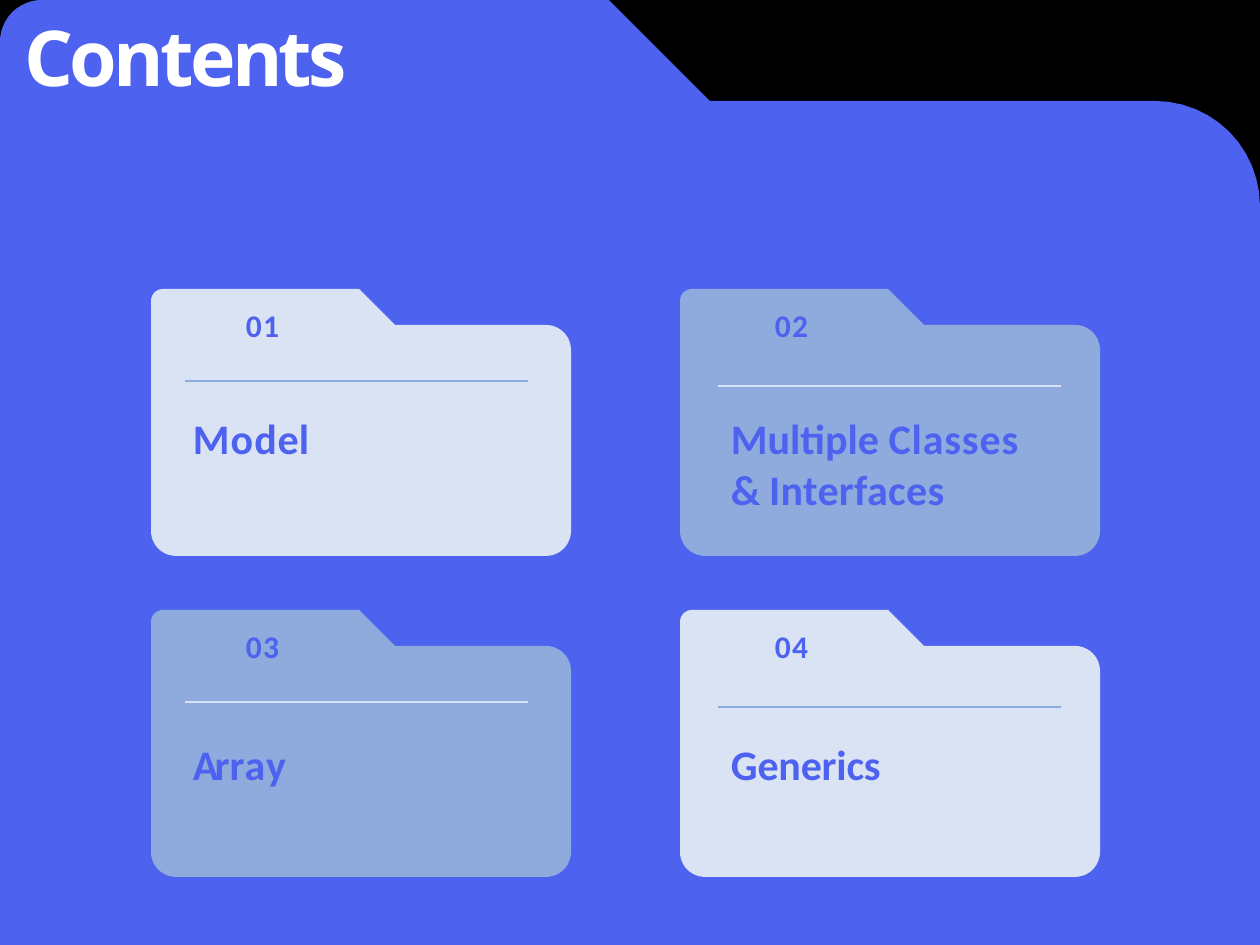
from math import cos, radians, sin

from lxml import etree
from pptx import Presentation
from pptx.dml.color import RGBColor
from pptx.enum.shapes import MSO_CONNECTOR
from pptx.oxml.ns import qn
from pptx.util import Pt

PX = 914400 / 126
STRAIGHT = MSO_CONNECTOR.STRAIGHT
COLORS = {"black": "000000", "blue": "4D63F0", "pale": "DAE3F3",
          "mid": "8FAADC", "white": "FFFFFF"}


def emu(px):
    return round(px * PX)


def rgb(name):
    return RGBColor.from_string(COLORS[name])


def arc(cx, cy, r, start):
    """Points of a clockwise quarter circle that starts at the given angle."""
    angles = [radians(start + 7.5 * i) for i in range(13)]
    return [(cx + r * cos(a), cy + r * sin(a)) for a in angles]


def add_outline(s, points, color):
    points = [(emu(x), emu(y)) for x, y in points]
    builder = s.shapes.build_freeform(*points[0], scale=1.0)
    builder.add_line_segments(points[1:], close=True)
    sp = builder.convert_to_shape()
    sp.shadow.inherit = False
    sp.fill.solid()
    sp.fill.fore_color.rgb = rgb(color)
    sp.line.fill.background()


def add_folder(s, x, y, w, h, tab_w, tab_h, r_tab, r_body, r_base, color):
    """Folder with a tab at the top left that slopes down at 45 degrees."""
    right, bottom, shoulder = x + w, y + h, y + tab_h
    points = arc(x + r_tab, y + r_tab, r_tab, 180)
    points += [(x + tab_w, y), (x + tab_w + tab_h, shoulder)]
    points += arc(right - r_body, shoulder + r_body, r_body, 270)
    if r_base:
        points += arc(right - r_base, bottom - r_base, r_base, 0)
        points += arc(x + r_base, bottom - r_base, r_base, 90)
    else:
        points += [(right, bottom), (x, bottom)]
    add_outline(s, points, color)


def add_text(s, x, y, w, h, runs, size, color="blue", font="Calibri"):
    """Runs are (text, letter spacing in points); "\\n" breaks the line."""
    tf = s.shapes.add_textbox(emu(x), emu(y), emu(w), emu(h)).text_frame
    tf.word_wrap = True
    tf.margin_left = tf.margin_top = emu(1)
    tf.margin_right = tf.margin_bottom = 0
    p = tf.paragraphs[0]
    for text, spacing in runs:
        if text == "\n":
            p.add_line_break()
            continue
        r = p.add_run()
        r.text = text
        r.font.name = font
        r.font.size = Pt(size)
        r.font.bold = True
        r.font.color.rgb = rgb(color)
        r.font._element.set("spc", str(round(spacing * 100)))


def add_rule(s, x, y, w, color):
    line = s.shapes.add_connector(STRAIGHT, emu(x), emu(y), emu(x + w), emu(y))
    line.line.color.rgb = rgb(color)
    line.line.width = Pt(1.5)
    etree.SubElement(line._element.spPr, qn("a:effectLst"))


def add_background(s, w, h):
    add_outline(s, [(0, 0), (w, 0), (w, h), (0, h)], "black")
    add_folder(s, 0, 0, w, h, 609, 101, 42, 105, 0, "blue")
    add_text(s, 23, 9, 345, 96, [("Contents", -2.1)], 44, "white", "Noto Sans")


def add_card(s, index, runs):
    row, col = divmod(index, 2)
    x, y = 151 + 529 * col, 289 + 321 * row
    fill, accent = ("pale", "mid") if row == col else ("mid", "pale")
    add_folder(s, x, y, 420, 267, 208, 36, 12, 25, 25, fill)
    add_text(s, x + 94, y + 16, 44, 41, [(f"{index + 1:02d}", 0.7)], 18)
    add_rule(s, x + 34 + 4 * col, y + 92 + 5 * col, 343, accent)
    add_text(s, x + 41 + 9 * col, y + 123 + 4 * row, 328, 54, runs, 24)


def main():
    prs = Presentation()
    prs.slide_width, prs.slide_height = emu(1260), emu(945)
    s = prs.slides.add_slide(prs.slide_layouts[6])
    add_background(s, 1260, 945)

    # Chapter cards, row by row
    chapters = [
        [("Mo", 0.6), ("d", 0.5), ("el", 0.1)],
        [("Multiple ", 0), ("Classes", 0.5), ("\n", 0),
         ("& ", -0.5), ("Interfaces", 0.2)],
        [("Ar", -2.1), ("r", -1.8), ("ay", 0.9)],
        [("Generics", -0.1)],
    ]
    for index, runs in enumerate(chapters):
        add_card(s, index, runs)
    prs.save("out.pptx")


if __name__ == "__main__":
    main()
